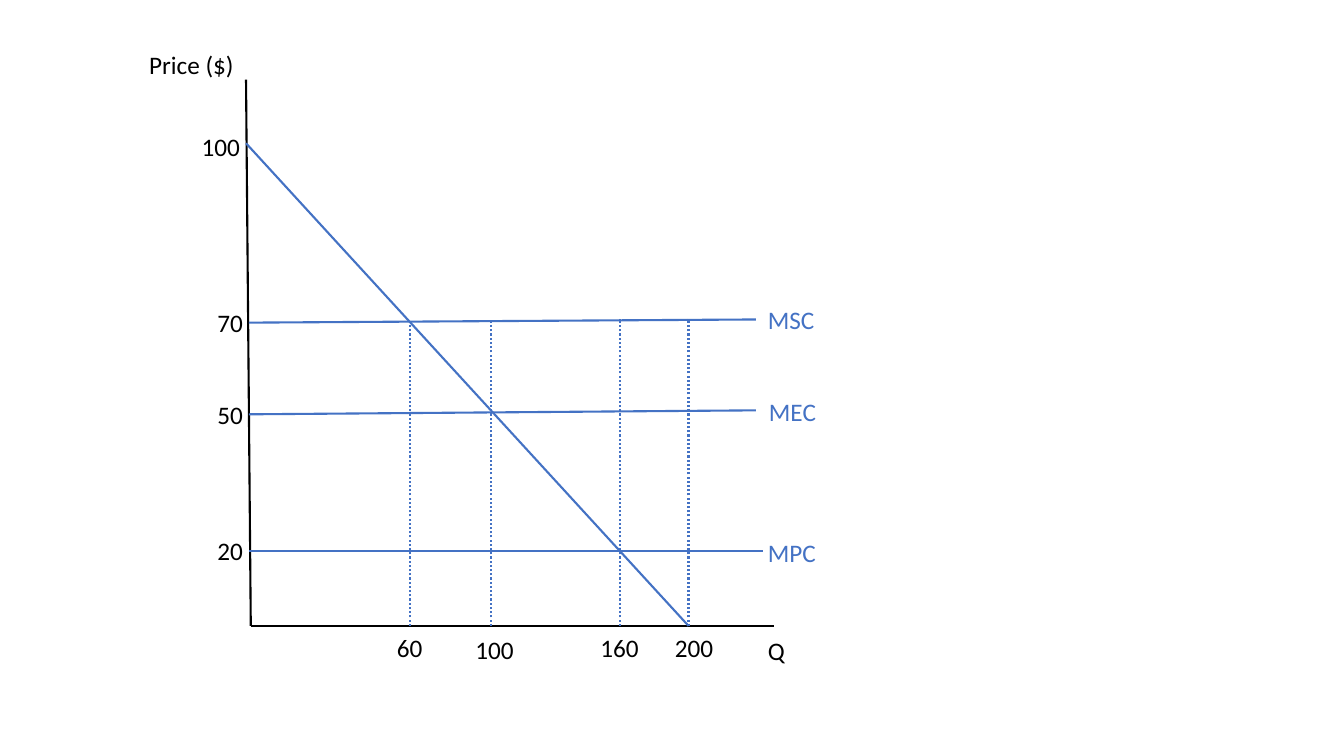
from lxml import etree
from pptx import Presentation
from pptx.dml.color import RGBColor
from pptx.enum.dml import MSO_LINE
from pptx.enum.shapes import MSO_CONNECTOR
from pptx.enum.text import MSO_AUTO_SIZE
from pptx.oxml.ns import qn
from pptx.util import Cm, Pt

COLORS = {"axis": "000000", "curve": "4472C4"}

deck = Presentation()
deck.slide_width, deck.slide_height = Cm(33.87), Cm(19.05)
page = deck.slides.add_slide(deck.slide_layouts[6])


def add_line(x1, y1, x2, y2, color, dotted=False):
    line = page.shapes.add_connector(
        MSO_CONNECTOR.STRAIGHT, Cm(x1), Cm(y1), Cm(x2), Cm(y2))
    line.line.color.rgb = RGBColor.from_string(COLORS[color])
    line.line.width = Pt(1.5)
    if dotted:
        line.line.dash_style = MSO_LINE.ROUND_DOT
    etree.SubElement(line._element.spPr, qn("a:effectLst"))


def add_label(text, left, top, width, color="axis"):
    box = page.shapes.add_textbox(Cm(left), Cm(top), Cm(width), Cm(1.02))
    frame = box.text_frame
    frame.word_wrap = True
    frame.auto_size = MSO_AUTO_SIZE.SHAPE_TO_FIT_TEXT
    frame.text = text
    span = frame.paragraphs[0].runs[0]
    span.font.name = "Calibri"
    span.font.size = Pt(18)
    span.font.color.rgb = RGBColor.from_string(COLORS[color])


# Axes and their titles
origin_x, base_y = 6.32, 15.77
add_line(6.2, 2.01, origin_x, base_y, "axis")
add_line(origin_x, base_y, 19.51, base_y, "axis")
add_label("Price ($)", 3.51, 1.12, 3.51)
add_label("Q", 19.1, 15.88, 6.02)

# Demand curve
add_line(6.2, 3.61, 17.35, base_y, "curve")

# Cost curves: name, start height, end x, end height, label left, label top
cost_curves = [
    ("MSC", 8.13, 19.05, 8.05, 19.1, 7.54),
    ("MEC", 10.44, 19.05, 10.34, 19.13, 9.86),
    ("MPC", 13.89, 19.23, 13.89, 19.1, 13.41),
]
for name, start_y, end_x, end_y, left, top in cost_curves:
    add_line(6.27, start_y, end_x, end_y, "curve")
    add_label(name, left, top, 2.72, "curve")

# Quantities: dotted guide up to MSC and a label below the axis
quantities = [
    ("60", 10.34, 8.1, 9.75, 15.82),
    ("100", 12.37, 8.05, 11.73, 15.85),
    ("160", 15.62, 8.03, 14.88, 15.82),
    ("200", 17.35, 8.03, 16.76, 15.82),
]
for quantity, guide_x, guide_top, left, top in quantities:
    add_line(guide_x, base_y, guide_x, guide_top, "curve", dotted=True)
    add_label(quantity, left, top, 1.75)

# Prices beside the vertical axis
prices = [("100", 4.83, 3.18), ("70", 5.23, 7.62),
          ("50", 5.23, 9.93), ("20", 5.23, 13.36)]
for price, left, top in prices:
    add_label(price, left, top, 1.75)

deck.save("out.pptx")
